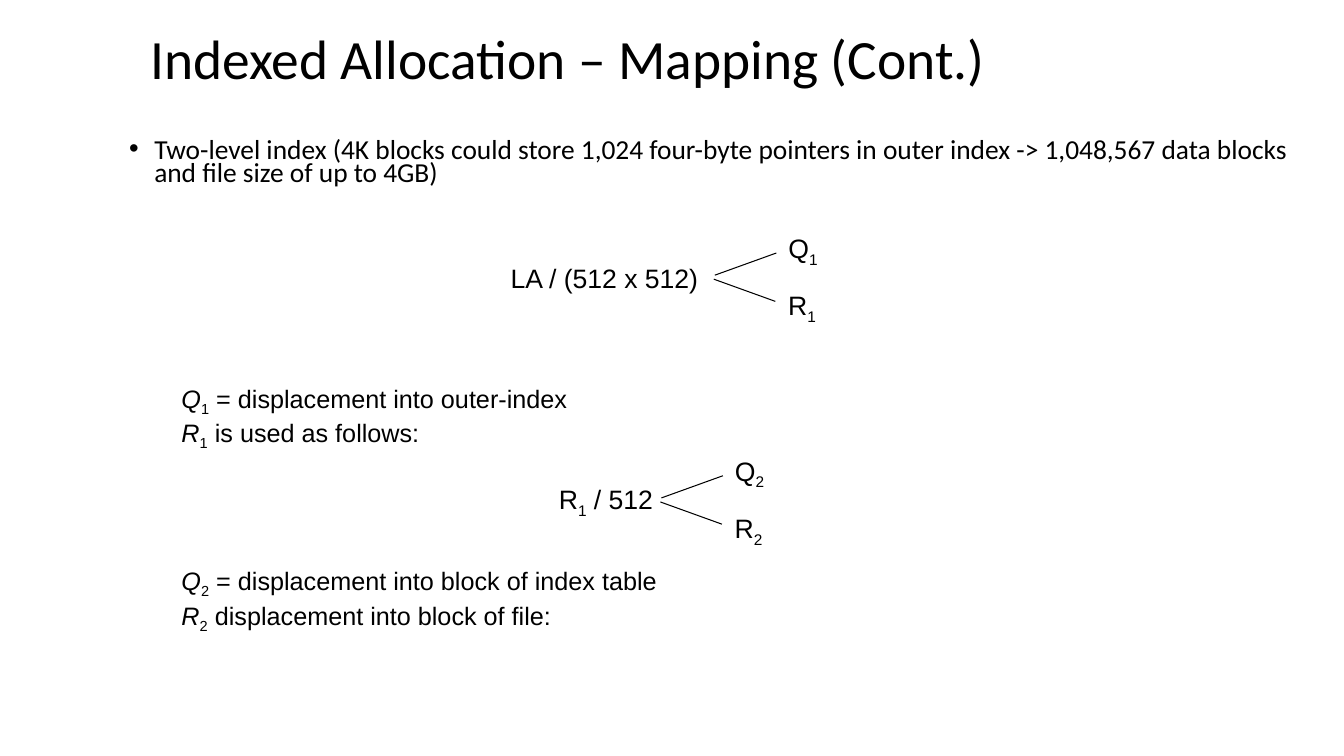
from lxml.etree import SubElement
from pptx import Presentation
from pptx.dml.color import RGBColor
from pptx.enum.shapes import MSO_CONNECTOR
from pptx.enum.text import MSO_ANCHOR, MSO_AUTO_SIZE, PP_ALIGN
from pptx.oxml.ns import qn
from pptx.util import Inches, Pt

BLACK = RGBColor(0, 0, 0)

TITLE = "Indexed Allocation – Mapping (Cont.)"
BULLET = ("Two-level index (4K blocks could store 1,024 four-byte pointers in outer "
          "index -> 1,048,567 data blocks and file size of up to 4GB)")

DIVISIONS = [
    {"fork": (7.08, 2.77), "left": 4.93, "width": 2.13,
     "dividend": ("LA / (512 x 512)", "", ""), "level": "1"},
    {"fork": (6.55, 4.98), "left": 5.41, "width": 1.2,
     "dividend": ("R", "1", " / 512"), "level": "2"},
]
EXPLANATIONS = [
    (3.74, [("Q", "1", " = displacement into outer-index"),
            ("R", "1", " is used as follows:")]),
    (5.55, [("Q", "2", " = displacement into block of index table"),
            ("R", "2", " displacement into block of file:")]),
]
BRANCHES = [
    {"symbol": "Q", "width": 0.55, "label_dy": -0.51,
     "start": (0.01, -0.04), "end": (0.62, -0.26)},
    {"symbol": "R", "width": 0.53, "label_dy": 0.06,
     "start": (0, 0), "end": (0.61, 0.22)},
]
LABEL_DX = 0.61
LABEL_HEIGHT = 0.44
DIVIDEND_DY = -0.23


def place(shape, left, top, width, height):
    shape.left, shape.top = Inches(left), Inches(top)
    shape.width, shape.height = Inches(width), Inches(height)


def style(run, name, size):
    run.font.name = name
    run.font.size = Pt(size)
    run.font.color.rgb = BLACK


def set_indent(paragraph, left, first):
    properties = paragraph._p.get_or_add_pPr()
    properties.set("marL", str(Inches(left)))
    properties.set("indent", str(Inches(first)))
    return properties


def write_term(paragraph, term, size, italic=False):
    symbol, subscript, rest = term
    for text in filter(None, term):
        run = paragraph.add_run()
        run.text = text
        style(run, "Arial", size)
        run.font.italic = italic and text is symbol
        if text is subscript:
            run.font._element.set("baseline", "-25000")


def add_box(slide, left, top, width, height):
    frame = slide.shapes.add_textbox(
        Inches(left), Inches(top), Inches(width), Inches(height)).text_frame
    frame.margin_left = frame.margin_right = Inches(0.12)
    frame.margin_top = frame.margin_bottom = Inches(0.06)
    return frame


def add_label(slide, left, top, width, term):
    frame = add_box(slide, left, top, width, LABEL_HEIGHT)
    frame.word_wrap = False
    frame.auto_size = MSO_AUTO_SIZE.SHAPE_TO_FIT_TEXT
    frame.vertical_anchor = MSO_ANCHOR.MIDDLE
    frame.paragraphs[0].alignment = PP_ALIGN.CENTER
    write_term(frame.paragraphs[0], term, 19)


def add_branch(slide, start, end):
    line = slide.shapes.add_connector(
        MSO_CONNECTOR.STRAIGHT, *(Inches(value) for value in start + end))
    line.line.color.rgb = BLACK
    line.line.width = Pt(0.75)
    SubElement(line._element.spPr, qn("a:effectLst"))


def add_division(slide, division):
    x, y = division["fork"]
    add_label(slide, division["left"], y + DIVIDEND_DY, division["width"],
              division["dividend"])
    for branch in BRANCHES:
        add_label(slide, x + LABEL_DX, y + branch["label_dy"], branch["width"],
                  (branch["symbol"], division["level"], ""))
        start, end = ((x + dx, y + dy) for dx, dy in (branch["start"], branch["end"]))
        add_branch(slide, start, end)


def add_explanation(slide, top, terms):
    frame = add_box(slide, 1.23, top, 10.25, 0.81)
    frame.word_wrap = True
    for index, term in enumerate(terms):
        paragraph = frame.add_paragraph() if index else frame.paragraphs[0]
        paragraph.level = 1
        set_indent(paragraph, 0.82, -0.37)
        write_term(paragraph, term, 18, italic=True)


def fill_placeholder(shape, text, size, spacing):
    frame = shape.text_frame
    frame.text = text
    frame.word_wrap = True
    frame.auto_size = MSO_AUTO_SIZE.NONE
    paragraph = frame.paragraphs[0]
    paragraph.alignment = PP_ALIGN.LEFT
    paragraph.line_spacing = spacing
    paragraph.space_before = Pt(0)
    style(paragraph.runs[0], "Calibri", size)
    return paragraph


def main():
    deck = Presentation()
    deck.slide_width, deck.slide_height = Inches(13.33), Inches(7.5)
    slide = deck.slides.add_slide(deck.slide_layouts[1])
    title, body = slide.shapes.title, slide.placeholders[1]

    place(title, 1.39, 0.3, 11.27, 0.63)
    fill_placeholder(title, TITLE, 39.6, 0.9)
    title.text_frame.vertical_anchor = MSO_ANCHOR.MIDDLE

    place(body, 1.18, 1.35, 12, 0.63)
    paragraph = fill_placeholder(body, BULLET, 19.6, 0.7)
    properties = set_indent(paragraph, 0.25, -0.25)
    SubElement(properties, qn("a:buFont")).set("typeface", "Arial")
    SubElement(properties, qn("a:buChar")).set("char", "•")

    for division in DIVISIONS:
        add_division(slide, division)
    for top, terms in EXPLANATIONS:
        add_explanation(slide, top, terms)

    deck.save("out.pptx")


if __name__ == "__main__":
    main()
